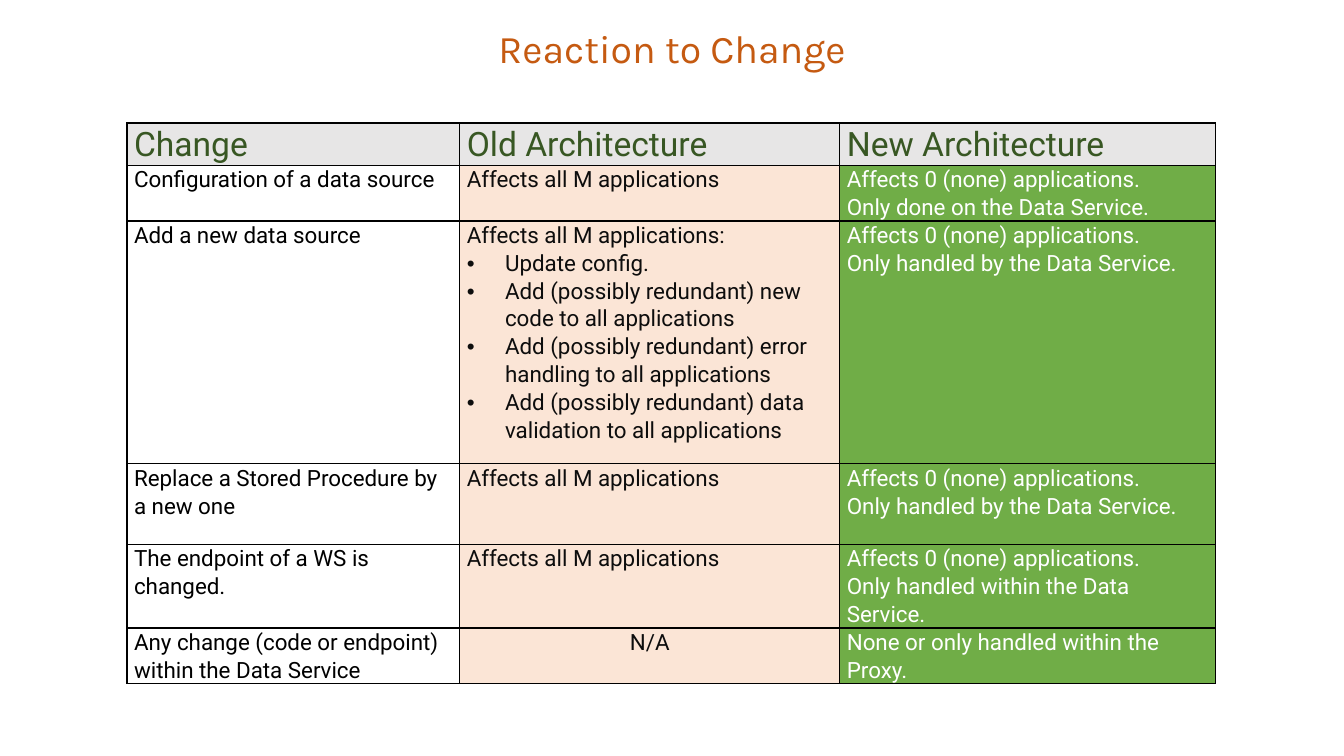
from dataclasses import dataclass

from lxml import etree
from pptx import Presentation
from pptx.dml.color import RGBColor
from pptx.enum.text import MSO_ANCHOR, MSO_AUTO_SIZE, PP_ALIGN
from pptx.oxml.ns import qn
from pptx.util import Emu, Pt

LEFT, CENTER = PP_ALIGN.LEFT, PP_ALIGN.CENTER
TOP = MSO_ANCHOR.TOP
GROW = MSO_AUTO_SIZE.SHAPE_TO_FIT_TEXT
PX = 9144  # 100 px to the inch
COLORS = {
    "title": "C55A11", "head": "385723", "gray": "E7E6E6",
    "black": "000000", "ink": "0D0D0D", "white": "FFFFFF",
    "peach": "FBE5D6", "green": "70AD47",
}


@dataclass(frozen=True)
class Style:
    size: int
    color: str
    fill: str = ""
    font: str = "Roboto"


@dataclass(frozen=True)
class Column:
    width: int
    style: Style


TITLE = Style(28, "title", font="Karla")
HEAD = Style(24, "head", "gray")
COLUMNS = [
    Column(330, Style(16, "black")),
    Column(377, Style(16, "ink", "peach")),
    Column(373, Style(16, "white", "green")),
]
HEIGHTS = [26, 53, 241, 80, 53, 53]
ALL = "Affects all M applications"
NONE = "Affects 0 (none) applications.\v"
STEPS = [
    ALL + ":",
    "Update config.",
    "Add (possibly redundant) new code to all applications",
    "Add (possibly redundant) error handling to all applications",
    "Add (possibly redundant) data validation to all applications",
]
ROWS = [
    ("Change", "Old Architecture", "New Architecture"),
    ("Configuration of a data source", ALL,
     NONE + "Only done on the Data Service."),
    ("Add a new data source", "\n".join(STEPS),
     NONE + "Only handled by the Data Service."),
    ("Replace a Stored Procedure by a new one", ALL,
     NONE + "Only handled by the Data Service."),
    ("The endpoint of a WS is changed.", ALL,
     NONE + "Only handled within the Data Service."),
    ("Any change (code or endpoint) within the Data Service", "N/A",
     "None or only handled within the Proxy."),
]


def px(count: int) -> Emu:
    return Emu(count * PX)


def rgb(name: str) -> RGBColor:
    return RGBColor.from_string(COLORS[name])


def format_runs(para, style: Style) -> None:
    for run in para.runs:
        font = run.font
        font.name, font.size, font.bold = style.font, Pt(style.size), False
        font.color.rgb = rgb(style.color)


def add_bullet(para) -> None:
    props = para._p.get_or_add_pPr()
    props.set("marL", str(px(38)))
    props.set("indent", str(px(-38)))
    etree.SubElement(props, qn("a:buFont"), typeface="Arial")
    etree.SubElement(props, qn("a:buChar"), char="•")


def add_borders(cell) -> None:
    props = cell._tc.get_or_add_tcPr()
    for side in ("lnL", "lnR", "lnT", "lnB"):
        line = etree.SubElement(props, qn(f"a:{side}"), w=str(Pt(1)))
        fill = etree.SubElement(line, qn("a:solidFill"))
        etree.SubElement(fill, qn("a:srgbClr"), val=COLORS["black"])


def fill_cell(cell, text: str, style: Style) -> None:
    cell.margin_left = cell.margin_right = px(7)
    cell.margin_top = cell.margin_bottom = 0
    cell.vertical_anchor = TOP
    add_borders(cell)
    if style.fill:
        cell.fill.solid()
        cell.fill.fore_color.rgb = rgb(style.fill)
    else:
        cell.fill.background()
    cell.text_frame.text = text
    for index, para in enumerate(cell.text_frame.paragraphs):
        para.alignment = CENTER if text == "N/A" else LEFT
        para.line_spacing = 1.07
        if index:
            add_bullet(para)
        format_runs(para, style)


def add_grid(slide) -> None:
    frame = slide.shapes.add_table(
        len(ROWS), len(COLUMNS), px(126), px(122),
        px(sum(col.width for col in COLUMNS)), px(sum(HEIGHTS)))
    table = frame.table
    table.first_row = table.horz_banding = False
    for index, col in enumerate(COLUMNS):
        table.columns[index].width = px(col.width)
    for row, (height, texts) in enumerate(zip(HEIGHTS, ROWS)):
        table.rows[row].height = px(height)
        for index, (col, text) in enumerate(zip(COLUMNS, texts)):
            style = col.style if row else HEAD
            fill_cell(table.cell(row, index), text, style)


def add_title(slide) -> None:
    box = slide.shapes.add_textbox(px(126), px(19), px(1081), px(57))
    frame = box.text_frame
    frame.word_wrap = True
    frame.auto_size = GROW
    frame.text = "Reaction to Change"
    para = frame.paragraphs[0]
    para.alignment = CENTER
    format_runs(para, TITLE)


def main() -> None:
    deck = Presentation()
    deck.slide_width, deck.slide_height = px(1333), px(750)
    slide = deck.slides.add_slide(deck.slide_layouts[6])
    # Comparison table
    add_grid(slide)
    # Heading
    add_title(slide)
    deck.save("out.pptx")


if __name__ == "__main__":
    main()
